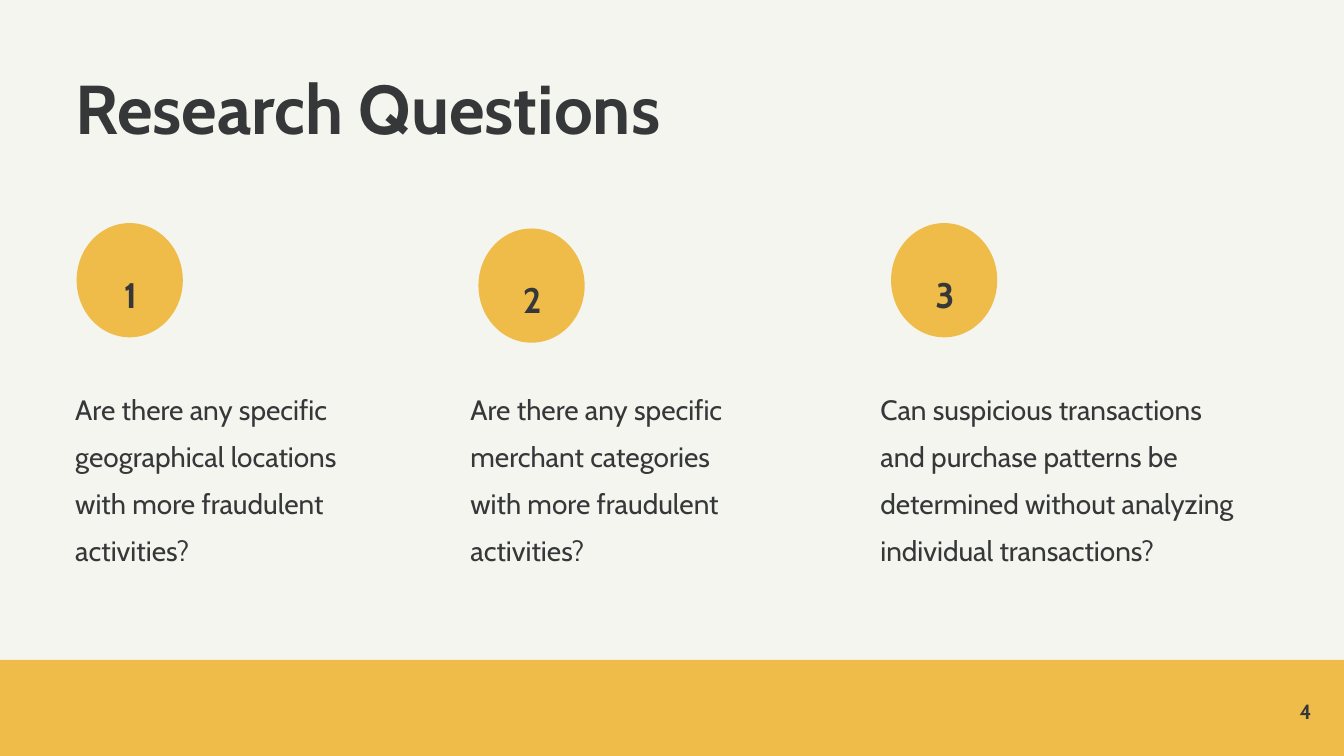
from lxml import etree
from pptx import Presentation
from pptx.dml.color import RGBColor
from pptx.enum.shapes import MSO_SHAPE
from pptx.enum.text import MSO_ANCHOR, MSO_AUTO_SIZE, PP_ALIGN
from pptx.oxml.ns import qn
from pptx.util import Inches, Pt

SLIDE_W = 10
SLIDE_H = SLIDE_W * 9 / 16
CREAM = RGBColor(0xF5, 0xF5, 0xEF)
GOLD = RGBColor(0xEF, 0xBC, 0x49)
INK = RGBColor(0x36, 0x37, 0x39)
FONT = "Cabin"

QUESTIONS = [
    (0.56, 0.57, 1.66, 2.12, "Are there any specific geographical locations "
     "with more fraudulent activities?"),
    (3.5, 3.56, 1.7, 2.12, "Are there any specific merchant categories "
     "with more fraudulent activities?"),
    (6.55, 6.63, 1.66, 2.69, "Can suspicious transactions and purchase patterns "
     "be determined without analyzing individual transactions?"),
]


def place(sp, x, y, w, h):
    sp.left, sp.top, sp.width, sp.height = (Inches(v) for v in (x, y, w, h))


def write(sp, text, size, bold=False, align=PP_ALIGN.LEFT, spacing=1.0,
          anchor=MSO_ANCHOR.TOP):
    tf = sp.text_frame
    tf.text = text
    tf.word_wrap = True
    tf.auto_size = MSO_AUTO_SIZE.NONE
    tf.vertical_anchor = anchor
    tf.margin_left = tf.margin_top = tf.margin_right = tf.margin_bottom = 0
    p = tf.paragraphs[0]
    p.alignment = align
    p.line_spacing = spacing
    p.space_before = Pt(0)
    font = p.runs[0].font
    font.name, font.size, font.bold = FONT, Pt(size), bold
    font.color.rgb = INK


def add_gold_shape(s, kind, x, y, w, h):
    sp = s.shapes.add_shape(kind, Inches(x), Inches(y), Inches(w), Inches(h))
    sp.shadow.inherit = False
    sp.fill.solid()
    sp.fill.fore_color.rgb = GOLD
    sp.line.fill.background()


def add_label(s, x, y, w, h, text, size, **style):
    sp = s.shapes.add_textbox(Inches(x), Inches(y), Inches(w), Inches(h))
    write(sp, text, size, bold=True, **style)


def add_title(s, x, y, w, h):
    place(s.shapes.title, x, y, w, h)
    write(s.shapes.title, "Research Questions", 37, bold=True, spacing=0.9)


def add_badge(s, x, y, number):
    add_gold_shape(s, MSO_SHAPE.OVAL, x, y, 0.79, 0.85)
    add_label(s, x + 0.21, y + 0.29, 0.38, 0.32, number, 19,
              align=PP_ALIGN.CENTER, spacing=1.25)


def add_question(body, x, y, w, h, text):
    place(body, x, y, w, h)
    write(body, text, 15, spacing=1.4)
    pPr = body.text_frame.paragraphs[0]._p.get_or_add_pPr()
    pPr.set("marL", "0")
    pPr.set("indent", "0")
    etree.SubElement(pPr, qn("a:buNone"))


def add_footer(s, x, y, w, h):
    add_gold_shape(s, MSO_SHAPE.RECTANGLE, x, y, w, h)
    add_label(s, x + w - 0.84, y + 0.28, 0.6, 0.2, "4", 11,
              align=PP_ALIGN.RIGHT, anchor=MSO_ANCHOR.MIDDLE)


def main():
    prs = Presentation()
    prs.slide_width, prs.slide_height = Inches(SLIDE_W), Inches(SLIDE_H)
    s = prs.slides.add_slide(prs.slide_layouts.get_by_name("Comparison"))
    s.background.fill.solid()
    s.background.fill.fore_color.rgb = CREAM

    add_title(s, 0.56, 0.56, 9.2, 0.79)
    *bodies, spare = list(s.placeholders)[1:]
    spare.element.getparent().remove(spare.element)
    for i, (body, question) in enumerate(zip(bodies, QUESTIONS), start=1):
        x, badge_x, badge_y, w, text = question
        add_badge(s, badge_x, badge_y, str(i))
        add_question(body, x, 2.82, w, 1.79, text)
    add_footer(s, 0, 4.91, SLIDE_W, SLIDE_H - 4.91)

    prs.save("out.pptx")


if __name__ == "__main__":
    main()
